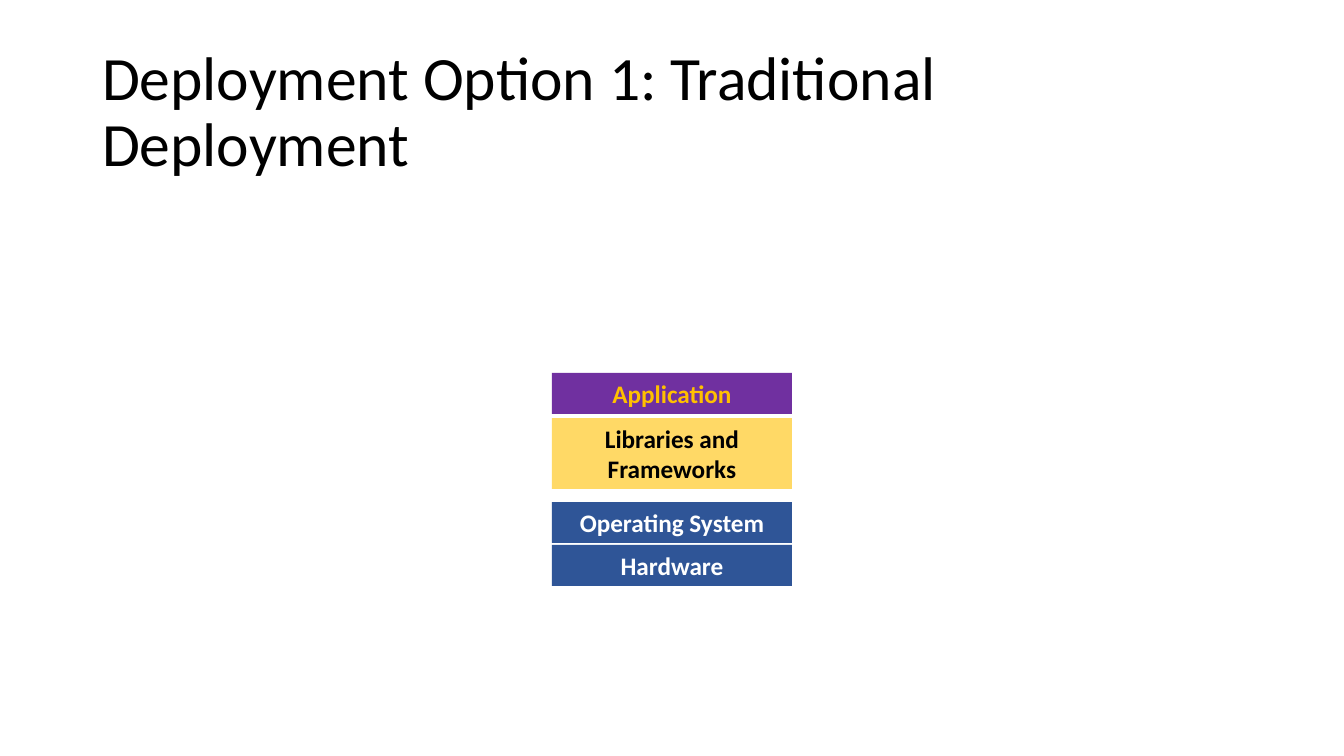
import pptx
import pptx.dml.color
import pptx.enum.shapes
import pptx.enum.text
import pptx.util

RGBColor = pptx.dml.color.RGBColor
BLACK = RGBColor(0x00, 0x00, 0x00)
WHITE = RGBColor(0xFF, 0xFF, 0xFF)
BLUE = RGBColor(0x2F, 0x55, 0x97)
YELLOW = RGBColor(0xFF, 0xD9, 0x66)
PURPLE = RGBColor(0x70, 0x30, 0xA0)
GOLD = RGBColor(0xFF, 0xC0, 0x00)

EMU_PER_PX = 914400 / 100.8


def px(length):
    return pptx.util.Emu(round(length * EMU_PER_PX))


def write_text(shape, text, frame_format, paragraph_format, font_format, color):
    """Fill the shape with one formatted paragraph in Calibri."""
    frame = shape.text_frame
    frame.text = text
    paragraph = frame.paragraphs[0]
    font = paragraph.runs[0].font
    for target, values in (
        (frame, frame_format),
        (paragraph, paragraph_format),
        (font, {"name": "Calibri", **font_format}),
    ):
        for name, value in values.items():
            setattr(target, name, value)
    font.color.rgb = color


presentation = pptx.Presentation()
presentation.slide_width = px(1344)
presentation.slide_height = px(756)
slide = presentation.slides.add_slide(presentation.slide_layouts[5])

title = slide.shapes.title
title.left, title.top, title.width, title.height = map(px, (92, 40, 1159, 147))
write_text(
    title,
    "Deployment Option 1: Traditional Deployment",
    {
        "word_wrap": True,
        "auto_size": pptx.enum.text.MSO_AUTO_SIZE.NONE,
        "vertical_anchor": pptx.enum.text.MSO_ANCHOR.MIDDLE,
    },
    {"alignment": pptx.enum.text.PP_ALIGN.LEFT, "line_spacing": 0.9},
    {"size": pptx.util.Pt(44)},
    BLACK,
)

# Stack layers from bottom to top: text, top, height, fill, text colour
LAYERS = [
    ("Hardware", 545, 41, BLUE, WHITE),
    ("Operating System", 502, 41, BLUE, WHITE),
    ("Libraries and Frameworks", 418, 71, YELLOW, BLACK),
    ("Application", 373, 41, PURPLE, GOLD),
]
for text, top, height, fill_color, text_color in LAYERS:
    layer = slide.shapes.add_shape(
        pptx.enum.shapes.MSO_SHAPE.RECTANGLE, px(552), px(top), px(240), px(height)
    )
    layer.shadow.inherit = False
    layer.fill.solid()
    layer.fill.fore_color.rgb = fill_color
    layer.line.fill.background()
    write_text(
        layer,
        text,
        {
            "word_wrap": True,
            "auto_size": pptx.enum.text.MSO_AUTO_SIZE.SHAPE_TO_FIT_TEXT,
            "vertical_anchor": pptx.enum.text.MSO_ANCHOR.TOP,
        },
        {"alignment": pptx.enum.text.PP_ALIGN.CENTER},
        {"size": pptx.util.Pt(18), "bold": True},
        text_color,
    )

presentation.save("out.pptx")
